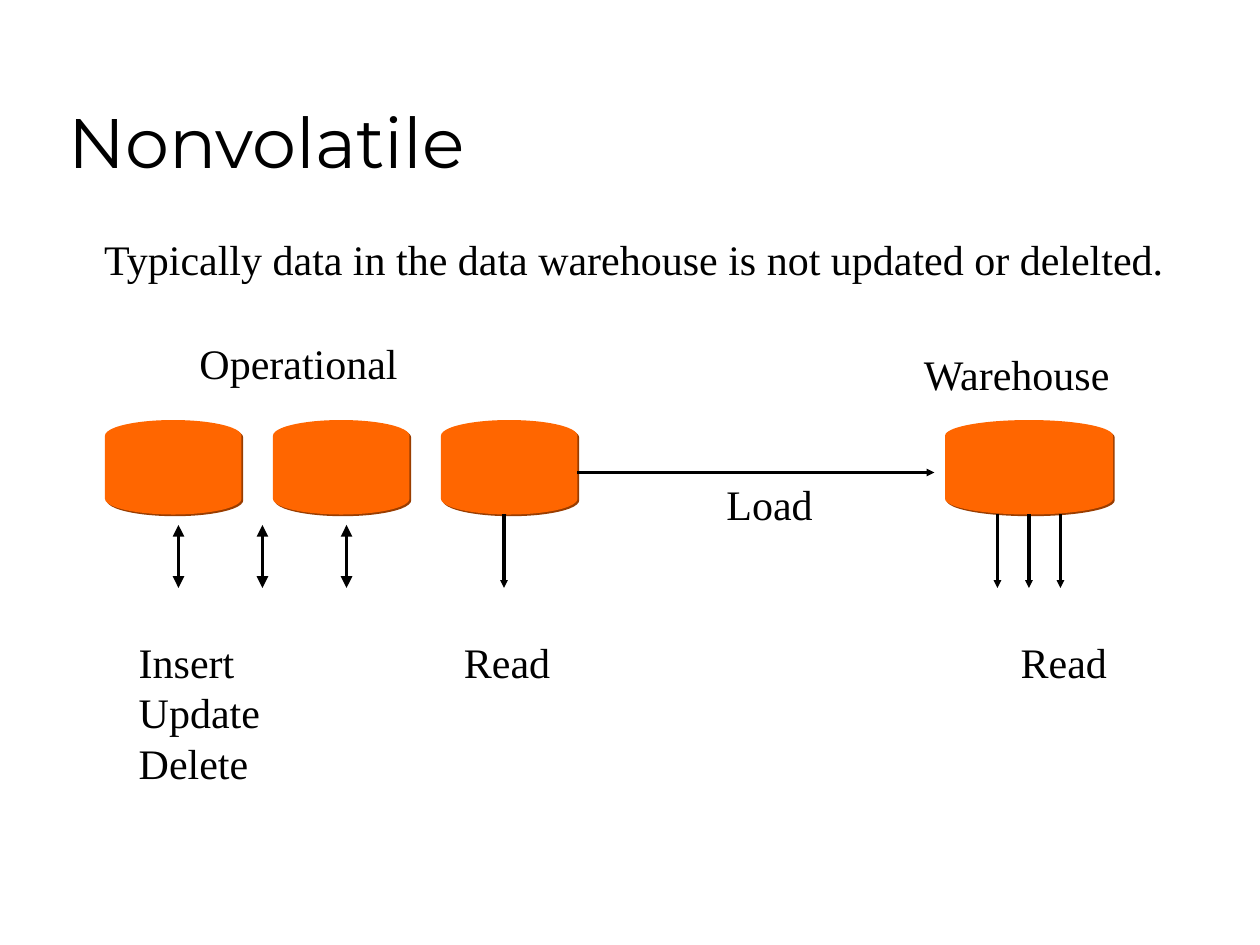
from lxml import etree
from pptx import Presentation
from pptx.dml.color import RGBColor
from pptx.enum.shapes import MSO_CONNECTOR, MSO_SHAPE
from pptx.enum.text import MSO_ANCHOR
from pptx.oxml.ns import qn
from pptx.util import Pt

DISK = MSO_SHAPE.FLOWCHART_MAGNETIC_DISK
STRAIGHT = MSO_CONNECTOR.STRAIGHT
TOP, BOTTOM = MSO_ANCHOR.TOP, MSO_ANCHOR.BOTTOM
COLORS = {"ink": "000000", "disk": "FF6600", "disk_shadow": "993D00"}

presentation = Presentation()
presentation.slide_width = Pt(720)
presentation.slide_height = Pt(540)
slide = presentation.slides.add_slide(presentation.slide_layouts[6])


def add_text(lines, left, top, width, height, font="Times New Roman", size=24, anchor=TOP, spacing=Pt(28.9)):
    box = slide.shapes.add_textbox(Pt(left), Pt(top), Pt(width), Pt(height))
    frame = box.text_frame
    frame.word_wrap = True
    frame.vertical_anchor = anchor
    for index, line in enumerate(lines):
        paragraph = frame.paragraphs[0] if index == 0 else frame.add_paragraph()
        paragraph.line_spacing = spacing
        run = paragraph.add_run()
        run.text = line
        run.font.name = font
        run.font.size = Pt(size)
        run.font.color.rgb = RGBColor.from_string(COLORS["ink"])


def add_arrow(x1, y1, x2, y2, ends, head_size):
    connector = slide.shapes.add_connector(STRAIGHT, Pt(x1), Pt(y1), Pt(x2), Pt(y2))
    connector.line.color.rgb = RGBColor.from_string(COLORS["ink"])
    connector.line.width = Pt(2.25)
    line = connector.line._get_or_add_ln()
    for end in ends:
        etree.SubElement(line, qn(f"a:{end}"), type="triangle", w=head_size, len=head_size)
    etree.SubElement(connector._element.spPr, qn("a:effectLst"))


add_text(["Nonvolatile"], 32, 18, 612, 90, "Montserrat", 40, BOTTOM, 1.0)

for left, width in [(60, 78), (156, 78), (252, 78), (540, 96)]:
    disk = slide.shapes.add_shape(DISK, Pt(left), Pt(240), Pt(width), Pt(54))
    disk.shadow.inherit = False
    disk.fill.solid()
    disk.fill.fore_color.rgb = RGBColor.from_string(COLORS["disk"])
    disk.line.fill.background()
    effects = disk._element.spPr.find(qn("a:effectLst"))
    shadow = etree.SubElement(effects, qn("a:outerShdw"), dist=str(Pt(1.4)), dir="2700000", algn="ctr", rotWithShape="0")
    etree.SubElement(shadow, qn("a:srgbClr"), val=COLORS["disk_shadow"])

for lines, left, top, width, height in [
    (["Typically data in the data warehouse is not updated or delelted."], 52.5, 129.6, 623, 36),
    (["Insert", "Update", "Delete"], 72.2, 360, 85, 93.6),
    (["Read"], 258, 360, 65, 36),
    (["Read"], 576.2, 360, 65, 36),
    (["Operational"], 106.9, 189.4, 129, 36),
    (["Warehouse"], 520.9, 195.4, 124, 36),
    (["Load"], 408, 270, 65, 36),
]:
    add_text(lines, left, top, width, height)

for x in (102, 150, 198):
    add_arrow(x, 300, x, 336, ["headEnd", "tailEnd"], "med")
for x in (288, 570, 588, 606):
    add_arrow(x, 294, x, 336, ["tailEnd"], "sm")
add_arrow(330, 270, 534, 270, ["tailEnd"], "sm")

presentation.save("out.pptx")
